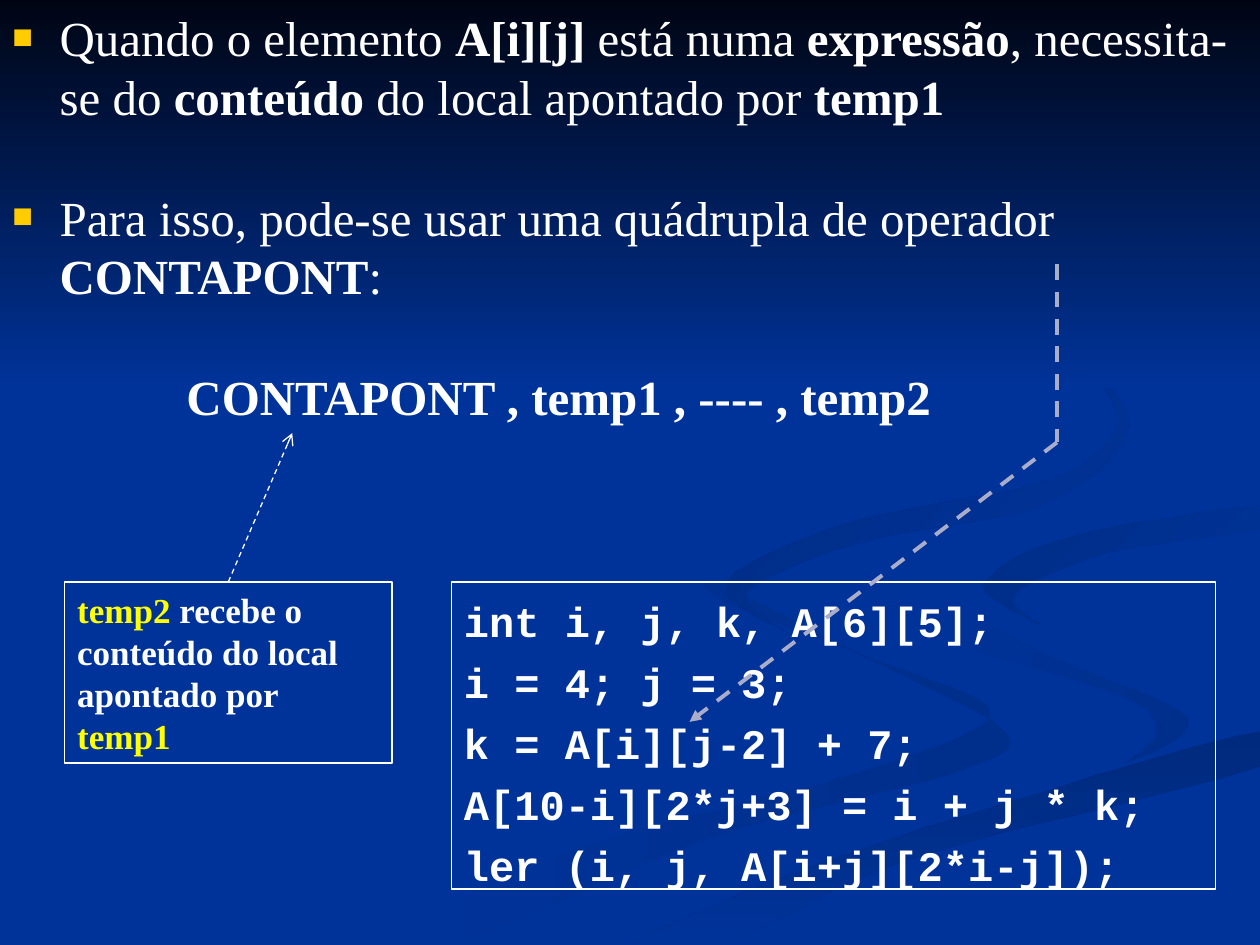
from dataclasses import dataclass

from lxml.etree import SubElement
from pptx import Presentation
from pptx.dml.color import RGBColor
from pptx.enum.dml import MSO_LINE
from pptx.enum.shapes import MSO_CONNECTOR, MSO_SHAPE
from pptx.enum.text import MSO_ANCHOR, PP_ALIGN
from pptx.oxml.ns import qn
from pptx.util import Pt


@dataclass(frozen=True)
class Theme:
    back: str = "003399"
    night: str = "000514"
    white: str = "FFFFFF"
    gold: str = "FFCC00"
    yellow: str = "FFFF00"
    lilac: str = "AAADCA"
    serif: str = "Times New Roman"
    mono: str = "Courier New"
    body: int = 28
    code: int = 24
    note: int = 20
    pitch: float = 1.2


T = Theme()
WIDE, HIGH = 720, 540

# Waves: first colour, last colour, angle, knots of a smooth closed curve
WAVES = [
    (T.back, "002E8B", 0, [
        (574, 418), (491, 374), (413, 334), (412, 343), (502, 378), (566, 408),
        (492, 441), (330, 485), (216, 540), (260, 540), (406, 479), (544, 442)]),
    (T.back, "002E8B", 45, [
        (679, 410), (598, 374), (521, 334), (552, 369), (642, 398), (661, 418), (644, 436)]),
    ("002A7D", T.back, 90, [
        (362, 540), (411, 540), (520, 491), (720, 438), (720, 418), (574, 459), (454, 499)]),
    ("002D86", T.back, 45, [
        (562, 334), (595, 357), (580, 340), (632, 316), (720, 302), (720, 289), (611, 307)]),
    ("002B82", T.back, 45, [
        (492, 310), (594, 289), (644, 248), (622, 210), (549, 168), (609, 201),
        (639, 241), (598, 275), (487, 298), (415, 333), (448, 360), (427, 338)]),
]


def ink(code):
    return RGBColor.from_string(code)


def smooth(knots, steps=6):
    """Catmull-Rom curve through the knots, kept on the slide."""
    dots, count = [], len(knots)
    for i in range(count):
        near = [knots[(i + k) % count] for k in (-1, 0, 1, 2)]
        for t in (k / steps for k in range(steps)):
            x, y = (b + t * (c - a + t * (2 * a - 5 * b + 4 * c - d
                                          + t * (3 * (b - c) + d - a))) / 2
                    for a, b, c, d in zip(*near))
            dots.append((min(x, WIDE), min(y, HIGH)))
    return dots


def shade(shape, first, last, angle):
    shape.shadow.inherit = False
    shape.line.fill.background()
    shape.fill.gradient()
    shape.fill.gradient_angle = (360 - angle) % 360
    for stop, code in zip(shape.fill.gradient_stops, (first, last)):
        stop.color.rgb = ink(code)


def frame(shape, top):
    text = shape.text_frame
    text.word_wrap = True
    text.vertical_anchor = MSO_ANCHOR.TOP
    text.margin_left = text.margin_right = Pt(7.2)
    text.margin_top, text.margin_bottom = Pt(top), Pt(3.6)
    return text


def write(text, first, runs, size, font, gap=0):
    """Add one paragraph; each run is (words, bold, colour)."""
    para = text.paragraphs[0] if first else text.add_paragraph()
    para.alignment = PP_ALIGN.LEFT
    para.line_spacing = Pt(size * T.pitch)
    para.space_before = Pt(0 if first else gap)
    for words, bold, code in runs:
        run = para.add_run()
        run.text = words
        run.font.size, run.font.name = Pt(size), font
        run.font.bold, run.font.color.rgb = bold, ink(code)
    return para


def indent(para, left, mark):
    props = para._p.get_or_add_pPr()
    props.set("marL", str(Pt(left)))
    props.set("indent", str(Pt(-left if mark else 0)))
    if mark:
        hue = SubElement(props, qn("a:buClr"))
        SubElement(hue, qn("a:srgbClr"), val=T.gold)
        SubElement(props, qn("a:buSzPct"), val="70000")
        SubElement(props, qn("a:buFont"), typeface=T.serif)
        SubElement(props, qn("a:buChar"), char=mark)


def outline(slide, box):
    shape = slide.shapes.add_shape(MSO_SHAPE.RECTANGLE, *map(Pt, box))
    shape.shadow.inherit = False
    shape.fill.background()
    shape.line.color.rgb, shape.line.width = ink(T.white), Pt(0.75)
    return shape


def link(slide, start, end, code, width, head=None):
    line = slide.shapes.add_connector(MSO_CONNECTOR.STRAIGHT, *map(Pt, start + end))
    line.line.color.rgb, line.line.width = ink(code), Pt(width)
    line.line.dash_style = MSO_LINE.DASH
    if head:
        SubElement(line.line._get_or_add_ln(), qn("a:tailEnd"), type=head)
    SubElement(line._element.spPr, qn("a:effectLst"))
    return line


def backdrop(slide, box):
    left, top, width, height = box
    slide.background.fill.solid()
    slide.background.fill.fore_color.rgb = ink(T.back)
    for first, last, angle, knots in WAVES:
        (x, y), *rest = [(left + a, top + b) for a, b in smooth(knots)]
        path = slide.shapes.build_freeform(x, y, scale=Pt(1))
        path.add_line_segments(rest, close=True)
        shade(path.convert_to_shape(), first, last, angle)
    sky = slide.shapes.add_shape(MSO_SHAPE.RECTANGLE, *map(Pt, (left, top, width, 222)))
    shade(sky, T.night, T.back, 90)


def points(slide, box):
    text = frame(slide.shapes.add_textbox(*map(Pt, box)), 4.3)
    rows = [
        (27, "■", ["Quando o elemento ", "A[i][j]", " está numa ", "expressão",
                   ", necessita-se do ", "conteúdo", " do local apontado por ", "temp1"]),
        (27, "■", ["Para isso, pode-se usar uma quádrupla de operador ", "CONTAPONT", ":"]),
        (99.5, None, ["", "CONTAPONT , temp1 , ---- , temp2"]),
    ]
    for i, (left, mark, parts) in enumerate(rows):
        # Plain and bold parts take turns
        runs = [(part, k % 2 == 1, T.white) for k, part in enumerate(parts) if part]
        indent(write(text, i == 0, runs, T.body, T.serif, 35.5), left, mark)


def code(slide, box):
    text = frame(outline(slide, box), 8)
    rows = ["int i, j, k, A[6][5];", "i = 4; j = 3;", "k = A[i][j-2] + 7;",
            "A[10-i][2*j+3] = i + j * k;", "ler (i, j, A[i+j][2*i-j]);"]
    for i, row in enumerate(rows):
        write(text, i == 0, [(row, True, T.white)], T.code, T.mono, 6)


def note(slide, box, goal):
    shape = outline(slide, box)
    runs = [("temp2", True, T.yellow),
            (" recebe o conteúdo do local apontado por ", True, T.white),
            ("temp1", True, T.yellow)]
    write(frame(shape, 3.6), True, runs, T.note, T.serif)
    left, top, width, height = box
    arrow = link(slide, (left + width / 2, top), goal, T.white, 0.75, "arrow")
    arrow.begin_connect(shape, 0)


def build():
    deck = Presentation()
    deck.slide_width, deck.slide_height = Pt(WIDE), Pt(HIGH)
    slide = deck.slides.add_slide(deck.slide_layouts[6])
    page = (0, 0, WIDE, HIGH)
    backdrop(slide, page)
    points(slide, page)
    code(slide, (258, 332.5, 436.5, 175.5))
    # Dashed path from the operator to the code
    bend = (604, 252.8)
    link(slide, bend, (394, 412.5), T.lilac, 2.25, "triangle")
    link(slide, (604, 151), bend, T.lilac, 2.25)
    note(slide, (37, 332.5, 187, 103.5), (167, 247.5))
    deck.save("out.pptx")


if __name__ == "__main__":
    build()
